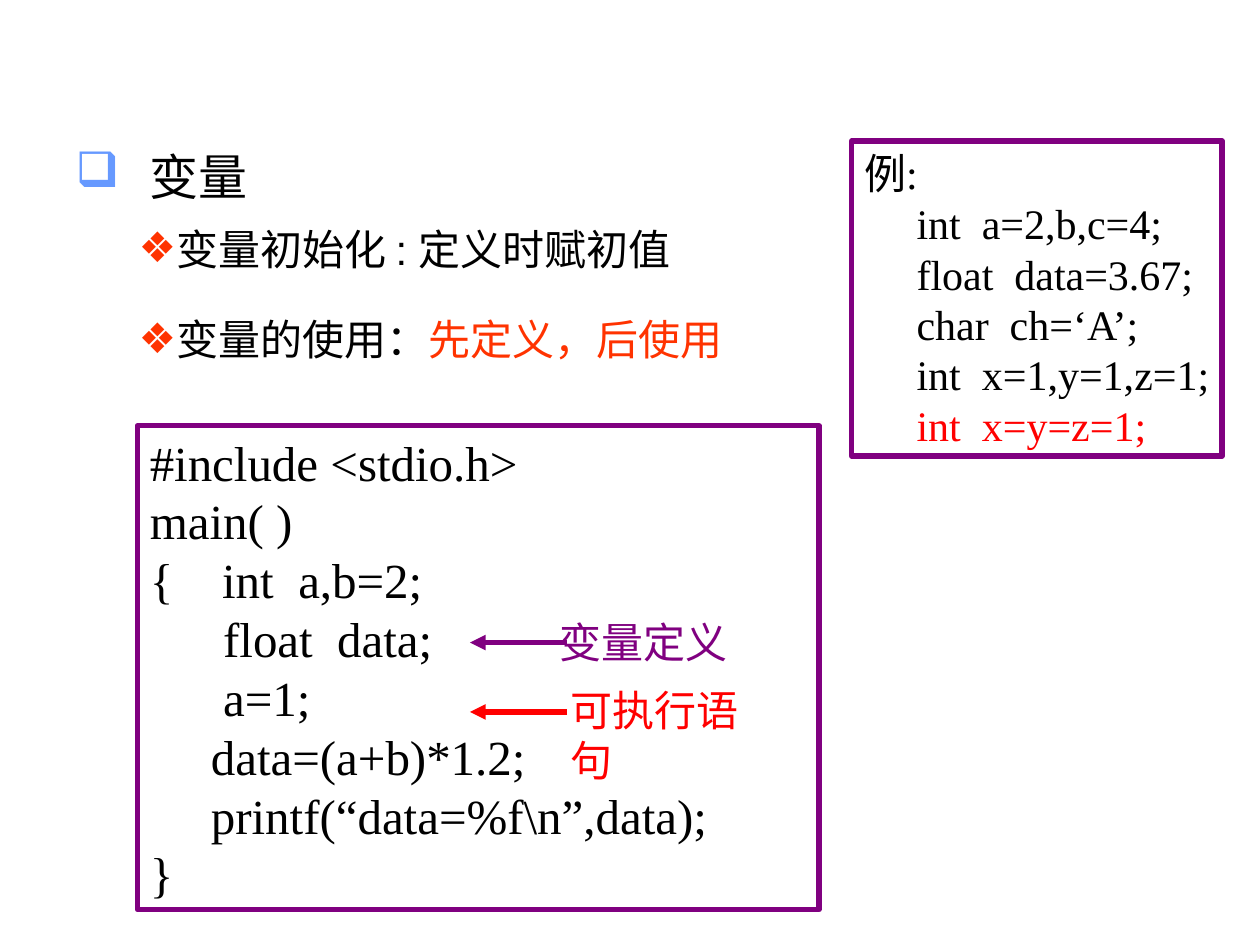
from lxml.etree import SubElement
from pptx import Presentation
from pptx.dml.color import RGBColor
from pptx.enum.shapes import MSO_CONNECTOR as CONNECTOR, MSO_SHAPE as SHAPE
from pptx.enum.text import MSO_ANCHOR as ANCHOR, MSO_AUTO_SIZE as AUTO_SIZE, PP_ALIGN as ALIGN
from pptx.oxml.ns import qn
from pptx.util import Inches, Pt

COLORS = {"text": "000000", "paper": "FFFFFF", "purple": "800080",
          "red": "FF0000", "orange": "FF3300", "blue": "6699FF"}

# Content: each line is a list of (text, colour) spans
HEADING = [[("变量", "text")]]
POINTS = [
    [("变量初始化 : 定义时赋初值", "text")],
    [("变量的使用：", "text"), ("先定义，后使用", "orange")],
]
EXAMPLE = [
    [("例:", "text")],
    [("     int  a=2,b,c=4;", "text")],
    [("     float  data=3.67;", "text")],
    [("     char  ch=‘A’;", "text")],
    [("     int  x=1,y=1,z=1;", "text")],
    [("     ", "text"), ("int  x=y=z=1;", "red")],
]
PROGRAM = [[(line, "text")] for line in (
    "#include <stdio.h>",
    "main( )",
    "{    int  a,b=2;",
    "      float  data;",
    "      a=1;",
    "     data=(a+b)*1.2;",
    "     printf(“data=%f\\n”,data);",
    "}",
)]
# Label text, colour, arrow height, label box (left, top, width, height)
LABELS = [
    ("变量定义", "purple", 5.1, (4.34, 4.84, 1.53, 0.5)),
    ("可执行语句", "red", 5.65, (4.43, 5.38, 1.86, 0.5)),
]
ARROW_START, ARROW_END = 4.5, 3.73


def color(name):
    return RGBColor.from_string(COLORS[name])


def place(shape, left, top, width, height):
    shape.left, shape.top = Inches(left), Inches(top)
    shape.width, shape.height = Inches(width), Inches(height)


def add_bullet(para, char, color_name, margin, hanging):
    props = para._p.get_or_add_pPr()
    props.set("marL", str(Inches(margin)))
    props.set("indent", str(-Inches(hanging)))
    fill = SubElement(props, qn("a:buClr"))
    SubElement(fill, qn("a:srgbClr"), val=COLORS[color_name])
    SubElement(props, qn("a:buChar"), char=char)


def write(shape, lines, font, size, bullet=None, gap=0, wrap=True, fit=AUTO_SIZE.NONE):
    frame = shape.text_frame
    frame.word_wrap, frame.auto_size = wrap, fit
    frame.vertical_anchor = ANCHOR.TOP
    for index, line in enumerate(lines):
        para = frame.add_paragraph() if index else frame.paragraphs[0]
        if bullet:
            add_bullet(para, *bullet)
        para.alignment = ALIGN.LEFT
        para.space_before = Pt(gap if index else 0)
        for text, color_name in line:
            span = para.add_run()
            span.text = text
            span.font.name, span.font.size = font, Pt(size)
            span.font.color.rgb = color(color_name)


def add_code_box(shapes, position, lines, size, wrap):
    box = shapes.add_shape(SHAPE.RECTANGLE, *map(Inches, position))
    box.shadow.inherit = False
    box.fill.solid()
    box.fill.fore_color.rgb = color("paper")
    box.line.color.rgb = color("purple")
    box.line.width = Pt(3)
    write(box, lines, "Times New Roman", size, wrap=wrap, fit=AUTO_SIZE.SHAPE_TO_FIT_TEXT)


def add_arrow(shapes, height, color_name):
    arrow = shapes.add_connector(CONNECTOR.STRAIGHT, Inches(ARROW_START), Inches(height),
                                 Inches(ARROW_END), Inches(height))
    arrow.line.color.rgb = color(color_name)
    arrow.line.width = Pt(3)
    SubElement(arrow.line._get_or_add_ln(), qn("a:tailEnd"), type="triangle")
    SubElement(arrow._element.spPr, qn("a:effectLst"))


def main():
    deck = Presentation()
    deck.slide_width, deck.slide_height = Inches(10), Inches(7.5)
    page = deck.slides.add_slide(deck.slide_layouts[1])

    # Heading and its two points
    heading, points = page.placeholders
    place(heading, 0, 1.11, 9.4, 0.86)
    write(heading, HEADING, "Calibri", 28, bullet=("❑", "blue", 1.09, 0.59))
    place(points, 0, 1.72, 9.4, 1.31)
    write(points, POINTS, "Arial", 24, bullet=("❖", "orange", 1.25, 0.25), gap=23)

    # Example declarations
    add_code_box(page.shapes, (6.76, 1.12, 2.94, 2.5), EXAMPLE, 24, wrap=False)

    # Program with its labelled arrows
    group = page.shapes.add_group_shape().shapes
    add_code_box(group, (1.09, 3.38, 5.41, 3.84), PROGRAM, 28, wrap=True)
    for text, color_name, height, position in LABELS:
        add_arrow(group, height, color_name)
        label = group.add_textbox(*map(Inches, position))
        write(label, [[(text, color_name)]], "Arial", 24, wrap=False,
              fit=AUTO_SIZE.SHAPE_TO_FIT_TEXT)

    deck.save("out.pptx")


if __name__ == "__main__":
    main()
